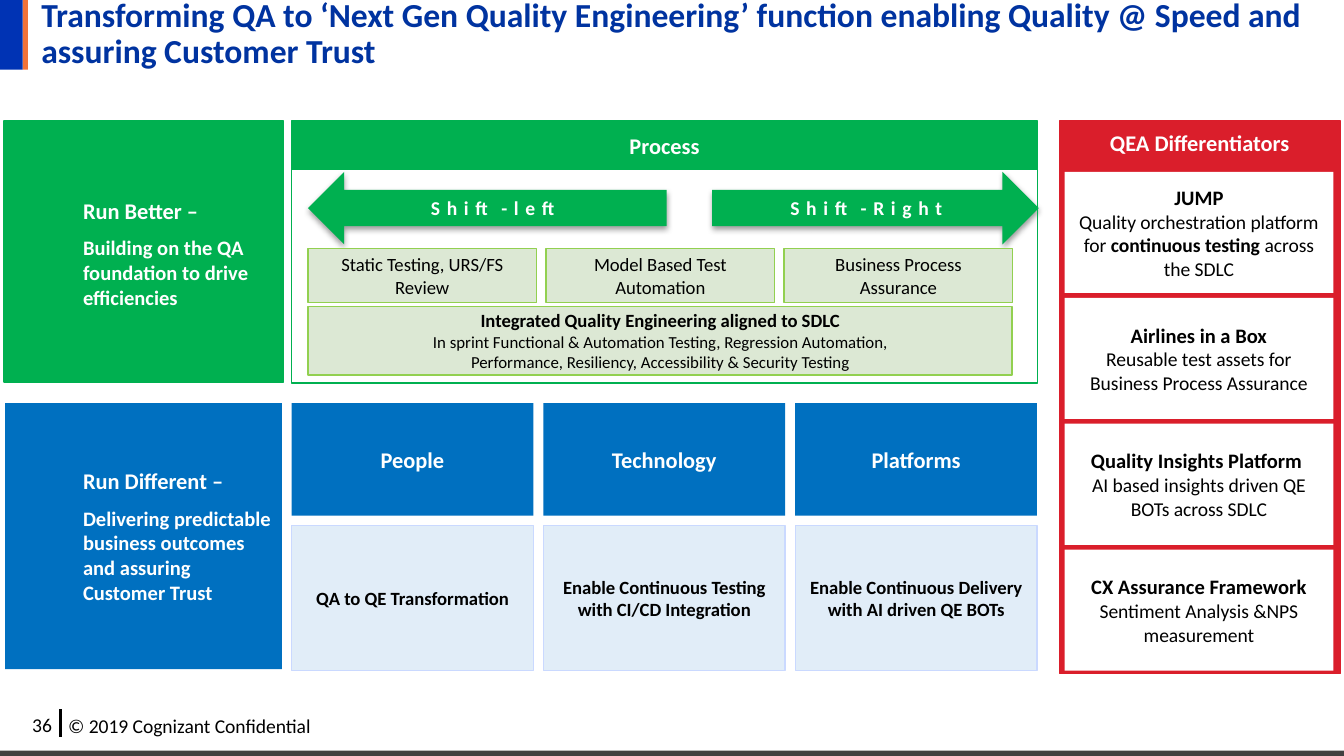
"""Builds the quality engineering transformation slide."""
from lxml import etree
from pptx import Presentation
from pptx.dml.color import RGBColor
from pptx.enum.shapes import MSO_CONNECTOR, MSO_SHAPE
from pptx.enum.text import MSO_ANCHOR, MSO_AUTO_SIZE, PP_ALIGN
from pptx.oxml import parse_xml
from pptx.oxml.ns import nsdecls, qn
from pptx.util import Cm, Pt

RECT = MSO_SHAPE.RECTANGLE
LEFT_ARROW = MSO_SHAPE.LEFT_ARROW
RIGHT_ARROW = MSO_SHAPE.RIGHT_ARROW
STRAIGHT = MSO_CONNECTOR.STRAIGHT
TOP = MSO_ANCHOR.TOP
MIDDLE = MSO_ANCHOR.MIDDLE
LEFT = PP_ALIGN.LEFT
CENTER = PP_ALIGN.CENTER
NO_FIT = MSO_AUTO_SIZE.NONE

FONT = "Calibri"
WHITE, BLACK = "FFFFFF", "000000"
GREEN, BLUE, RED = "00B050", "0070C0", "DA1E2B"
PALE_GREEN, LIME = "DCE8D4", "92D050"
PALE_BLUE, PALE_EDGE = "E1EDF8", "CAD9FF"
TITLE_BLUE = "0033A0"

MAIN_LEFT, MAIN_WIDTH = 5.51, 14.1
SIDE_LEFT, SIDE_WIDTH = 20.02, 5.31
STEP_LEFT = 5.82
TOP_ROW, LOWER_ROW = 2.29, 7.62
TIGHT = (0.1, 0.1)
STEP_INSET = (0.25, 0.13)
CARD_INSET = (0.13, 0.18)

STEPS = [
    "Static Testing, URS/FS Review",
    "Model Based Test Automation",
    "Business Process Assurance",
]
PILLARS = [
    ("People", "QA to QE Transformation"),
    ("Technology", "Enable Continuous Testing with CI/CD Integration"),
    ("Platforms", "Enable Continuous Delivery with AI driven QE BOTs"),
]
DIFFERENTIATORS = [
    ("JUMP", [("Quality orchestration platform for ", False),
              ("continuous testing ", True), ("across the SDLC", False)]),
    ("Airlines in a Box",
     [("Reusable test assets for Business Process Assurance", False)]),
    ("Quality Insights Platform ",
     [("AI based insights driven QE BOTs across SDLC", False)]),
    ("CX Assurance Framework",
     [("Sentiment Analysis &NPS measurement", False)]),
]


def color(value):
    """Turn a hex string into a colour."""
    return RGBColor.from_string(value)


class Slide:
    """Holds the style and the current page."""

    def __init__(self, page, font):
        self.page = page
        self.font = font

    def fill_text(self, box, paras, ink, align, anchor, inset, gap=0, tracking=0):
        """Fill a box with paragraphs made of (text, size, bold) spans."""
        frame = box.text_frame
        frame.word_wrap = True
        frame.auto_size = NO_FIT
        frame.vertical_anchor = anchor
        frame.margin_left = frame.margin_right = Cm(inset[0])
        frame.margin_top = frame.margin_bottom = Cm(inset[1])
        for index, spans in enumerate(paras):
            para = frame.add_paragraph() if index else frame.paragraphs[0]
            para.alignment = align
            if index and gap:
                para.space_before = Pt(gap)
            for text, size, bold in spans:
                span = para.add_run()
                span.text = text
                span.font.name = self.font
                span.font.size = Pt(size)
                span.font.bold = bold
                span.font.color.rgb = color(ink)
                if tracking:
                    span._r.get_or_add_rPr().set("spc", str(tracking))
        return frame

    def title(self, text, place):
        """Place and format the title placeholder."""
        box = self.page.shapes.title
        box.left, box.top, box.width, box.height = map(Cm, place)
        frame = self.fill_text(box, [[(text, 18, True)]], TITLE_BLUE, LEFT, MIDDLE, (0, 0))
        frame.margin_left = Cm(0.25)
        frame.paragraphs[0].line_spacing = 0.9

    def text(self, place, paras, ink=BLACK, align=LEFT, inset=STEP_INSET, gap=0):
        """Add a text box."""
        box = self.page.shapes.add_textbox(*map(Cm, place))
        self.fill_text(box, paras, ink, align, TOP, inset, gap)

    def block(self, place, fill=None, edge=None, paras=(), ink=BLACK,
              inset=TIGHT, kind=RECT, weight=0.75, tracking=0):
        """Add a filled shape with optional centred text."""
        box = self.page.shapes.add_shape(kind, *map(Cm, place))
        box.shadow.inherit = False
        if fill:
            box.fill.solid()
            box.fill.fore_color.rgb = color(fill)
        else:
            box.fill.background()
        if edge:
            box.line.color.rgb = color(edge)
            box.line.width = Pt(weight)
        else:
            box.line.fill.background()
        if paras:
            self.fill_text(box, paras, ink, CENTER, MIDDLE, inset, tracking=tracking)
        return box

    def arrow(self, place, kind, label):
        """Add a block arrow with spaced lettering and a soft shadow."""
        box = self.block(place, GREEN, paras=[[(label, 10.5, True)]], ink=WHITE,
                         inset=STEP_INSET, kind=kind, tracking=360)
        effects = box._element.spPr.find(qn("a:effectLst"))
        effects.append(parse_xml(
            f'<a:outerShdw {nsdecls("a")} blurRad="40000" dist="20000" dir="5400000" '
            'rotWithShape="0"><a:srgbClr val="000000"><a:alpha val="38000"/>'
            '</a:srgbClr></a:outerShdw>'))

    def line(self, ends, ink, weight):
        """Add a straight line."""
        line = self.page.shapes.add_connector(STRAIGHT, *map(Cm, ends))
        line.line.color.rgb = color(ink)
        line.line.width = Pt(weight)
        etree.SubElement(line._element.spPr, qn("a:effectLst"))


def main():
    """Build and save the deck."""
    deck = Presentation()
    deck.slide_width, deck.slide_height = Cm(25.4), Cm(14.29)
    slide = Slide(deck.slides.add_slide(deck.slide_layouts[5]), FONT)

    slide.block((0, 14.19, 25.4, 0.1), "404040")
    slide.block((0.43, 0, 0.1, 1.32), "F27339")
    slide.block((0, 0, 0.43, 1.32), "0033B4")
    slide.text((0.36, 13.34, 0.97, 0.71), [[("36", 10.5, False)]])
    slide.text((1.04, 13.36, 5.54, 0.71),
               [[("© 2019 Cognizant Confidential", 10.5, False)]])
    slide.line((1.14, 13.41, 1.14, 13.94), BLACK, 1.5)
    slide.title("Transforming QA to ‘Next Gen Quality Engineering’ function enabling "
                "Quality @ Speed and assuring Customer Trust", (0.53, 0, 24.87, 1.32))

    slide.block((0.08, TOP_ROW, 5.28, 4.93), GREEN, GREEN)
    slide.block((0.1, LOWER_ROW, 5.23, 5.03), BLUE)
    for top, height, heading, detail in [
        (3.73, 2.13, "Run Better –", "Building on the QA foundation to drive efficiencies"),
        (8.84, 2.62, "Run Different –",
         "Delivering predictable business outcomes and assuring Customer Trust"),
    ]:
        slide.text((1.57, top, 3.56, height), [[(heading, 12, True)], [(detail, 11, True)]],
                   WHITE, inset=(0, 0), gap=6)

    slide.block((SIDE_LEFT, TOP_ROW, SIDE_WIDTH, 10.44), RED, RED)
    slide.text((SIDE_LEFT, 2.31, SIDE_WIDTH, 0.76),
               [[("QEA Differentiators", 12, True)]], WHITE, CENTER)
    for index, (heading, details) in enumerate(DIFFERENTIATORS):
        spans = [(text, 10.5, bold) for text, bold in details]
        slide.block((20.12, 3.25 + index * 2.38, 5.08, 2.29), WHITE,
                    paras=[[(heading, 11, True)], spans], inset=CARD_INSET)

    slide.arrow((STEP_LEFT, 3.25, 6.78, 1.37), LEFT_ARROW, "Shift-left")
    slide.arrow((13.46, 3.25, 6.17, 1.37), RIGHT_ARROW, "Shift-Right")
    for index, step in enumerate(STEPS):
        slide.block((STEP_LEFT + index * 4.5, 4.7, 4.32, 1.02), PALE_GREEN, LIME,
                    [[(step, 10, False)]], inset=STEP_INSET)
    slide.block((STEP_LEFT, 5.79, 13.31, 1.3), PALE_GREEN, LIME, [
        [("Integrated Quality Engineering aligned to SDLC", 10, True)],
        [("In sprint Functional & Automation Testing, Regression Automation,", 9, False)],
        [("Performance, Resiliency, Accessibility & Security Testing", 9, False)],
    ], inset=STEP_INSET)
    slide.block((MAIN_LEFT, 2.9, MAIN_WIDTH, 4.34), edge=GREEN, weight=1)
    slide.block((MAIN_LEFT, TOP_ROW, MAIN_WIDTH, 0.91), GREEN, GREEN,
                [[("Process", 12, True)]], WHITE)

    for index, (heading, detail) in enumerate(PILLARS):
        left = MAIN_LEFT + index * 4.76
        slide.block((left, LOWER_ROW, 4.57, 2.13), BLUE,
                    paras=[[(heading, 12, True)]], ink=WHITE)
        slide.block((left, 9.93, 4.57, 2.74), PALE_BLUE, PALE_EDGE, [[(detail, 10, True)]])

    deck.save("out.pptx")


if __name__ == "__main__":
    main()
